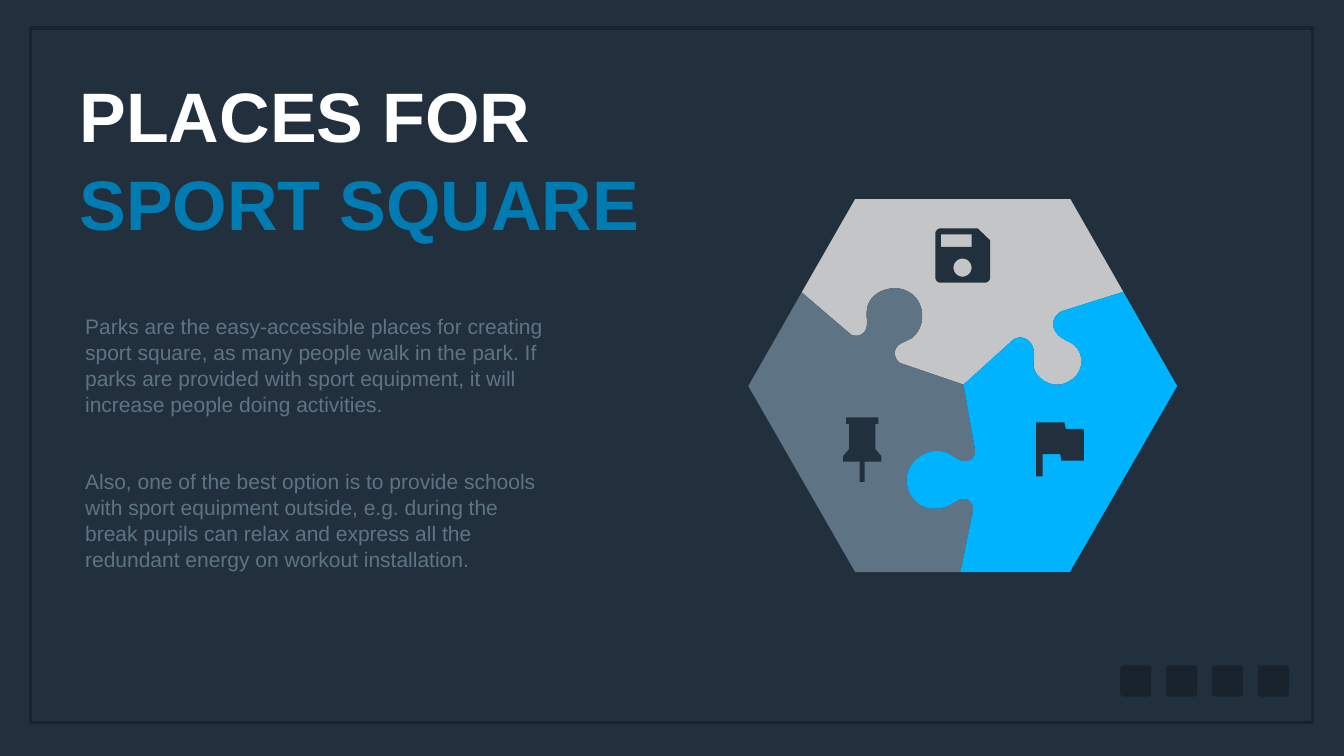
"""Builds the sport square slide with its three-piece hexagon puzzle."""
from dataclasses import dataclass
from math import cos, radians, sin

from pptx import Presentation
from pptx.dml.color import RGBColor as Rgb
from pptx.enum.shapes import MSO_SHAPE as Preset
from pptx.enum.text import MSO_ANCHOR as Anchor, MSO_AUTO_SIZE as AutoSize, PP_ALIGN as Align
from pptx.oxml.xmlchemy import OxmlElement
from pptx.util import Inches, Pt

Point = tuple[float, float]
Outline = list[Point]

COLUMNS, ROWS, CELL = 26.67, 15, Inches(1)
INSET = round(CELL * 0.06)
COLORS = {
    "night": "22303E", "edge": "18232D", "white": "FFFFFF", "blue": "007CB2",
    "slate": "5E7484", "silver": "C4C5C7", "sky": "00B3FF",
}
FRAME_FORMAT = {
    "margin_left": INSET, "margin_right": INSET, "margin_top": INSET, "margin_bottom": INSET,
    "word_wrap": True, "auto_size": AutoSize.NONE, "vertical_anchor": Anchor.MIDDLE,
}


@dataclass(frozen=True)
class Area:
    column: float
    row: float
    columns: float
    rows: float

    def emu(self) -> list[int]:
        return [round(v * CELL) for v in (self.column, self.row, self.columns, self.rows)]


@dataclass(frozen=True)
class Line:
    words: str
    color: str
    gap: int = 0


@dataclass(frozen=True)
class Figure:
    color: str
    outlines: list[Outline]


HEADING = [Line("PLACES FOR", "white"), Line("SPORT SQUARE", "blue")]
STORY = [
    Line("Parks are the easy-accessible places for creating", "slate"),
    Line("sport square, as many people walk in the park. If", "slate"),
    Line("parks are provided with sport equipment, it will", "slate"),
    Line("increase people doing activities.", "slate"),
    Line("Also, one of the best option is to provide schools", "slate", 72),
    Line("with sport equipment outside, e.g. during the", "slate"),
    Line("break pupils can relax and express all the", "slate"),
    Line("redundant energy on workout installation.", "slate"),
]


def arc(x: float, y: float, radius: float, start: int, end: int) -> Outline:
    """Points along a circle, with angles clockwise from the right."""
    return [(x + radius * cos(radians(a)), y + radius * sin(radians(a)))
            for a in range(start, end + 1, 10)]


def seam(start: Point, knots: Outline, end: Point, steps: int = 12) -> Outline:
    """A puzzle seam: straight ends around a chain of cubic curves."""
    points = [start, knots[0]]
    for first in range(0, len(knots) - 1, 3):
        curve = knots[first:first + 4]
        for t in (step / steps for step in range(1, steps + 1)):
            weights = ((1 - t) ** 3, 3 * t * (1 - t) ** 2, 3 * t * t * (1 - t), t ** 3)
            points.append(tuple(sum(w * p[axis] for w, p in zip(weights, curve))
                                for axis in (0, 1)))
    return points + [end]


CENTER = (19.12, 7.63)
LEFT_SEAM = seam((15.91, 5.8), [
    (16.88, 6.63), (16.94, 6.67), (17.02, 6.67), (17.08, 6.64),
    (17.16, 6.6), (17.19, 6.54), (17.2, 6.46), (17.21, 6.37), (17.19, 6.27), (17.2, 6.17),
    (17.21, 5.94), (17.4, 5.77), (17.63, 5.73), (17.81, 5.69), (18, 5.74), (18.13, 5.86),
    (18.26, 5.98), (18.31, 6.15), (18.3, 6.31), (18.29, 6.47), (18.22, 6.62), (18.08, 6.72),
    (18.04, 6.74), (18, 6.76), (17.96, 6.78), (17.91, 6.8), (17.87, 6.82), (17.83, 6.85),
    (17.78, 6.9), (17.75, 6.96), (17.76, 7.03), (17.77, 7.1), (17.8, 7.16), (17.86, 7.2),
], CENTER)
RIGHT_SEAM = seam(CENTER, [
    (20.07, 6.77), (20.16, 6.68), (20.3, 6.67), (20.4, 6.75),
    (20.5, 6.83), (20.53, 6.95), (20.52, 7.08), (20.52, 7.16), (20.5, 7.23), (20.52, 7.3),
    (20.54, 7.38), (20.58, 7.44), (20.64, 7.49), (20.72, 7.57), (20.82, 7.61), (20.92, 7.63),
    (21.01, 7.64), (21.12, 7.62), (21.2, 7.57), (21.37, 7.49), (21.49, 7.3), (21.45, 7.09),
    (21.43, 6.98), (21.37, 6.89), (21.29, 6.83), (21.22, 6.78), (21.13, 6.75), (21.06, 6.7),
    (20.98, 6.64), (20.91, 6.56), (20.9, 6.46), (20.89, 6.33), (20.96, 6.22), (21.08, 6.17),
], (22.29, 5.79))
BOTTOM_SEAM = seam((19.06, 11.35), [
    (19.3, 10.18), (19.32, 10.12), (19.32, 10.06), (19.29, 10.01),
    (19.27, 9.96), (19.23, 9.92), (19.17, 9.91), (19.06, 9.87), (18.96, 9.96), (18.85, 10.02),
    (18.66, 10.12), (18.43, 10.12), (18.25, 10.01), (18.06, 9.88), (17.96, 9.65), (18, 9.43),
    (18.04, 9.26), (18.15, 9.11), (18.31, 9.03), (18.46, 8.94), (18.64, 8.92), (18.8, 8.99),
    (18.91, 9.04), (19, 9.13), (19.11, 9.15), (19.16, 9.15), (19.21, 9.15), (19.26, 9.13),
    (19.32, 9.09), (19.36, 9.01), (19.35, 8.93),
], CENTER)

FLAG = [(21.15, 8.51), (21.12, 8.38), (20.56, 8.38), (20.56, 9.45), (20.69, 9.45),
        (20.69, 9.01), (21.04, 9.01), (21.06, 9.14), (21.51, 9.14), (21.51, 8.51)]
PIN_HALF = [(0.32, 8.28), (0.32, 8.41), (0.26, 8.41), (0.26, 8.91),
            (0.38, 9.05), (0.38, 9.16), (0.05, 9.16), (0.05, 9.56)]
PIN = ([(17.11 + x, y) for x, y in PIN_HALF]
       + [(17.11 - x, y) for x, y in reversed(PIN_HALF)])
DISK = (arc(18.67, 4.64, 0.11, 180, 270) + [(19.4, 4.53), (19.65, 4.77)]
        + arc(19.54, 5.5, 0.11, 0, 90) + arc(18.67, 5.5, 0.11, 90, 180))
DISK_LABEL = [(18.67, 4.65), (19.28, 4.65), (19.28, 4.9), (18.67, 4.9)]
DISK_HUB = arc(19.1, 5.31, 0.18, 0, 350)

FIGURES = [
    Figure("silver", [LEFT_SEAM + RIGHT_SEAM + [(21.24, 3.95), (16.97, 3.95)]]),
    Figure("slate", [[(14.85, 7.66)] + LEFT_SEAM + BOTTOM_SEAM[::-1] + [(16.97, 11.35)]]),
    Figure("sky", [[(23.36, 7.66), (21.23, 11.35)] + BOTTOM_SEAM + RIGHT_SEAM]),
    Figure("night", [FLAG]),
    Figure("night", [PIN]),
    Figure("night", [DISK, DISK_LABEL, DISK_HUB]),
]


def paint(shape, color: str) -> None:
    """Give a shape a flat fill without line or shadow."""
    shape.shadow.inherit = False
    shape.fill.solid()
    shape.fill.fore_color.rgb = Rgb.from_string(COLORS[color])
    shape.line.fill.background()


def draw_figure(slide, figure: Figure) -> None:
    """Draw outlines as one filled freeform."""
    first, *others = [[(round(x * CELL), round(y * CELL)) for x, y in outline]
                      for outline in figure.outlines]
    builder = slide.shapes.build_freeform(*first[0])
    builder.add_line_segments(first[1:])
    for outline in others:
        builder.move_to(*outline[0])
        builder.add_line_segments(outline[1:])
    paint(builder.convert_to_shape(), figure.color)


def write(placeholder, area: Area, lines: list[Line], font_format: dict) -> None:
    """Move a placeholder and fill it with plain left-aligned lines."""
    placeholder.left, placeholder.top, placeholder.width, placeholder.height = area.emu()
    frame = placeholder.text_frame
    for name, value in FRAME_FORMAT.items():
        setattr(frame, name, value)
    for index, line in enumerate(lines):
        paragraph = frame.add_paragraph() if index else frame.paragraphs[0]
        properties = paragraph._p.get_or_add_pPr()
        properties.set("marL", "0")
        properties.set("indent", "0")
        properties.append(OxmlElement("a:buNone"))
        paragraph_format = {"alignment": Align.LEFT, "line_spacing": 1.04,
                            "space_before": Pt(line.gap), "space_after": Pt(0)}
        for name, value in paragraph_format.items():
            setattr(paragraph, name, value)
        run = paragraph.add_run()
        run.text = line.words
        for name, value in font_format.items():
            setattr(run.font, name, value)
        run.font.color.rgb = Rgb.from_string(COLORS[line.color])


def main() -> None:
    """Assemble and save the slide."""
    deck = Presentation()
    deck.slide_width, deck.slide_height = round(COLUMNS * CELL), ROWS * CELL
    slide = deck.slides.add_slide(deck.slide_layouts[1])
    slide.background.fill.solid()
    slide.background.fill.fore_color.rgb = Rgb.from_string(COLORS["night"])

    write(slide.shapes.title, Area(1.52, 1.39, 12.25, 3.44), HEADING,
          {"name": "Arial", "size": Pt(100), "bold": True})
    write(slide.placeholders[1], Area(1.63, 6.19, 9.89, 5.16), STORY,
          {"name": "Arial", "size": Pt(30), "bold": False})

    border = slide.shapes.add_shape(Preset.RECTANGLE, *Area(0.61, 0.56, 25.44, 13.78).emu())
    border.shadow.inherit = False
    border.fill.background()
    border.line.color.rgb = Rgb.from_string(COLORS["edge"])
    border.line.width = Pt(5)
    for position in range(4):
        badge = slide.shapes.add_shape(
            Preset.ROUNDED_RECTANGLE, *Area(22.23 + 0.91 * position, 13.2, 0.62, 0.62).emu())
        badge.adjustments[0] = 0.1
        paint(badge, "edge")
    for figure in FIGURES:
        draw_figure(slide, figure)
    deck.save("out.pptx")


if __name__ == "__main__":
    main()
